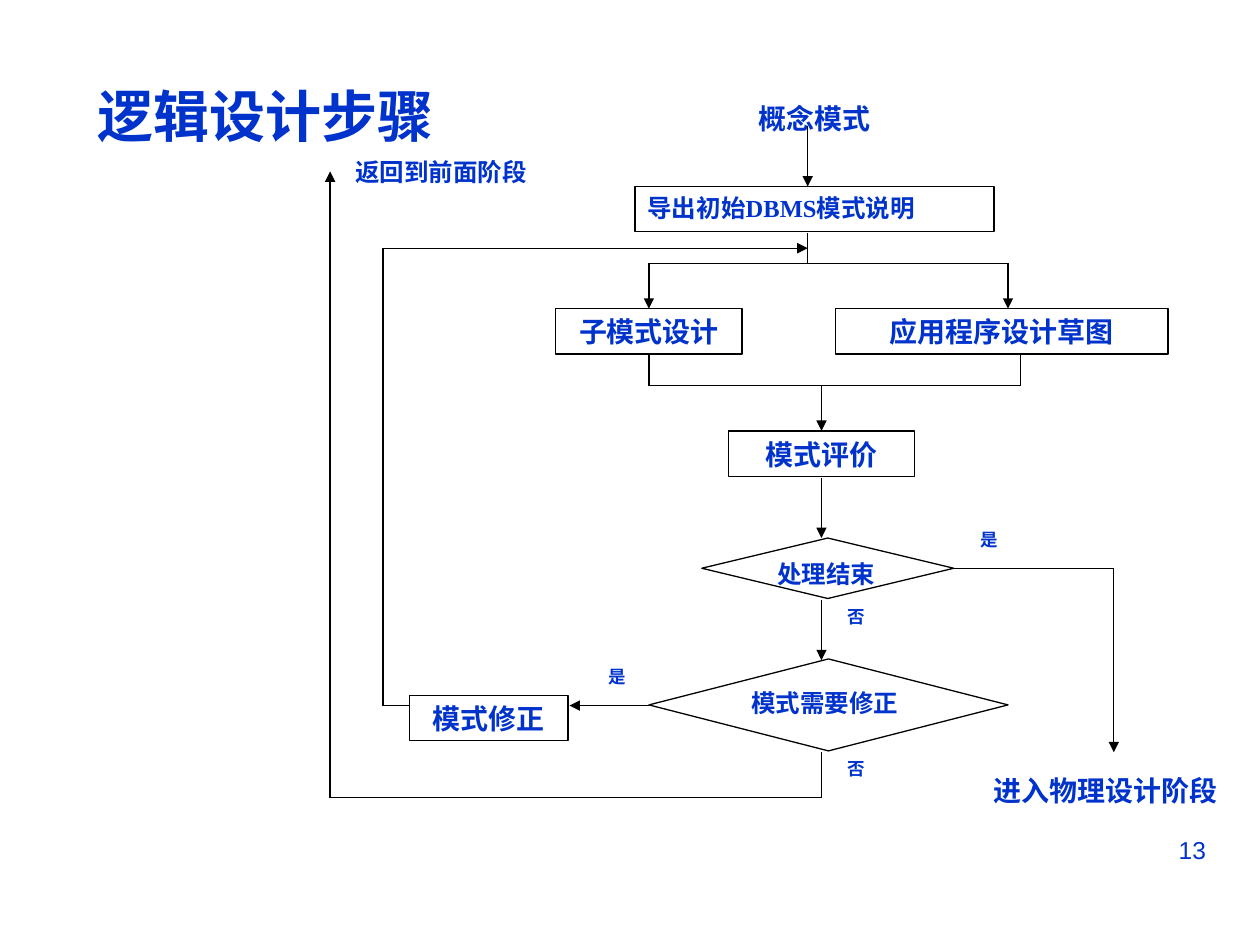
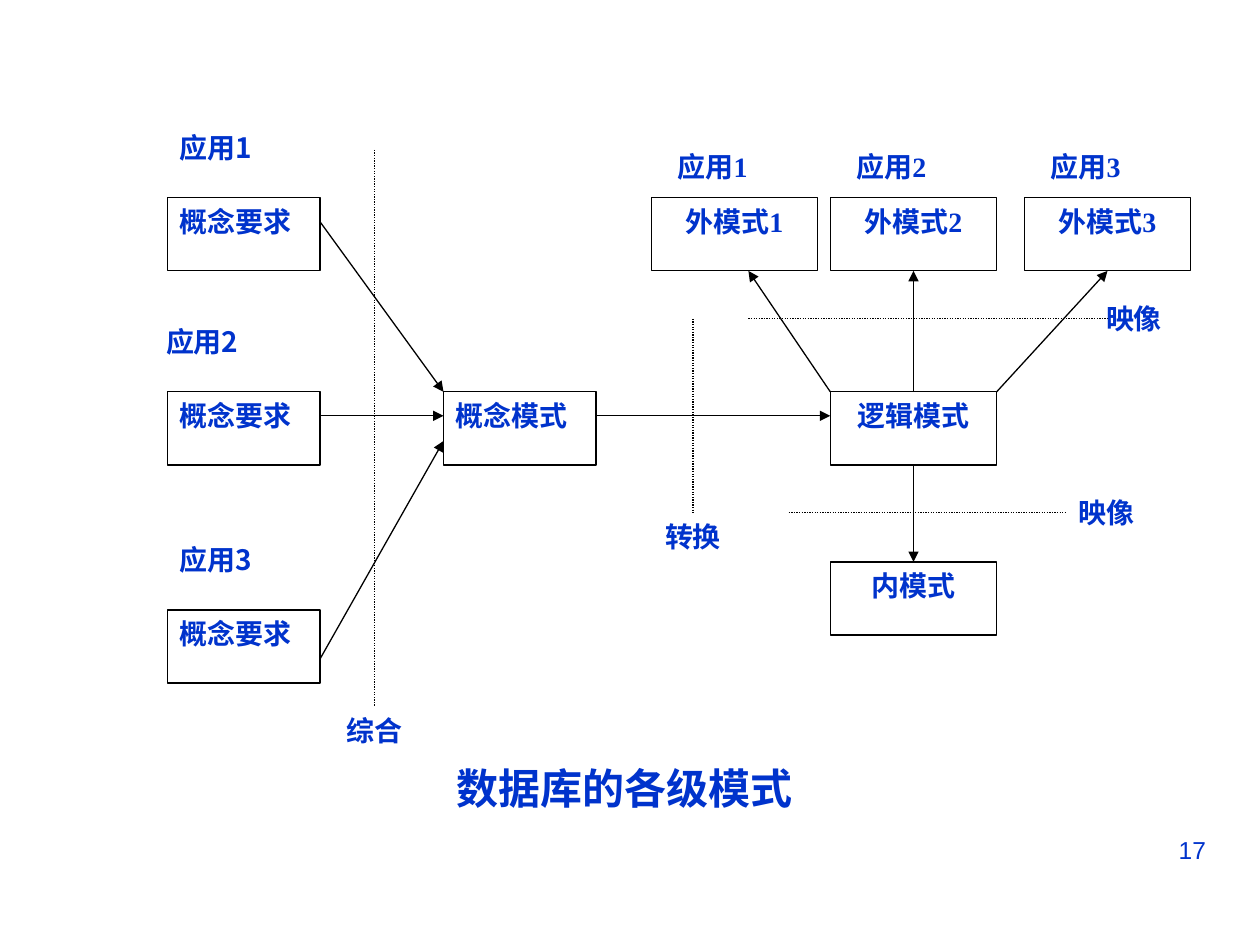
from lxml.etree import SubElement as Sub
from pptx import Presentation
from pptx.dml.color import RGBColor as Rgb
from pptx.enum.dml import MSO_LINE as Dash
from pptx.enum.shapes import MSO_CONNECTOR as Link, MSO_SHAPE as Kind
from pptx.enum.text import MSO_ANCHOR as Anchor, MSO_AUTO_SIZE as Fit, PP_ALIGN as Align
from pptx.oxml.ns import qn
from pptx.util import Inches, Pt

HUES = {"text": "0033CC", "line": "000000", "fill": "FFFFFF"}
SANS, CJK, SERIF = "Arial", "Noto Sans CJK SC", "Times New Roman"
MID, JUST, RIGHT = Align.CENTER, Align.JUSTIFY, Align.RIGHT
RECT, ROMB = Kind.RECTANGLE, Kind.FLOWCHART_DECISION

BOX_H = 0.36
STEPS = [
    ("导出初始DBMS模式说明", RECT, (5.04, 1.48, 2.85, BOX_H), 14, JUST),
    ("子模式设计", RECT, (4.41, 2.45, 1.48, BOX_H), 16, MID),
    ("应用程序设计草图", RECT, (6.63, 2.45, 2.64, BOX_H), 16, MID),
    ("模式评价", RECT, (5.78, 3.42, 1.48, BOX_H), 16, MID),
    ("处理结束", ROMB, (5.57, 4.27, 2, 0.48), 14, JUST),
    ("模式需要修正", ROMB, (5.15, 5.23, 2.85, 0.73), 14, JUST),
    ("模式修正", RECT, (3.25, 5.52, 1.26, BOX_H), 16, MID),
]
NOTES = [
    ("概念模式", (5.78, 0.76, 1.37), 16, MID),
    ("进入物理设计阶段", (7.79, 6.09, 2.21), 16, JUST),
    ("返回到前面阶段", (2.72, 1.2, 1.9), 14, JUST),
    ("是", (7.68, 4.15, 0.53), 10, JUST),
    ("是", (4.73, 5.24, 0.53), 10, JUST),
    ("否", (6.63, 4.76, 0.63), 10, JUST),
    ("否", (6.63, 5.97, 0.63), 10, JUST),
]
TOP_X, MID_X, SUB_X = 6.41, 6.52, 5.15
FLOWS = [
    [(TOP_X, 1), (TOP_X, 1.48)],
    [(TOP_X, 2.09), (SUB_X, 2.09), (SUB_X, 2.45)],
    [(TOP_X, 2.09), (8, 2.09), (8, 2.45)],
    [(MID_X, 3.06), (MID_X, 3.42)],
    [(MID_X, 3.79), (MID_X, 4.27)],
    [(MID_X, 4.76), (MID_X, 5.24)],
    [(7.57, 4.51), (8.84, 4.51), (8.84, 5.97)],
    [(SUB_X, 5.6), (4.52, 5.6)],
    [(3.25, 5.6), (3.04, 5.6), (3.04, 1.97), (TOP_X, 1.97)],
    [(MID_X, 5.97), (MID_X, 6.33), (2.62, 6.33), (2.62, 1.36)],
]
JOINS = [
    [(TOP_X, 1.85), (TOP_X, 2.09)],
    [(SUB_X, 2.82), (SUB_X, 3.06), (8.1, 3.06), (8.1, 2.82)],
]

CELL_H = 0.58
NEED_X, NEED_W, CORE_X, CORE_Y = 1.33, 1.21, 3.52, 3.11
NEEDS = [("应用1", 1.33, 1.57), ("应用2", 1.22, CORE_Y), ("应用3", 1.33, 4.84)]
VIEW_W, VIEW_Y, LOGIC_X, INNER_Y = 1.32, 1.57, 6.59, 4.46
VIEWS = [
    ("应用1", "外模式1", 5.17, 5.28),
    ("应用2", "外模式2", LOGIC_X, 6.7),
    ("应用3", "外模式3", 8.13, 8.24),
]
MARKS = [
    ("综合", 2.65, 5.61, JUST),
    ("转换", 5.06, 4.07, MID),
    ("映像", 8.68, 2.34, JUST),
    ("映像", 8.46, 3.88, JUST),
]
CUTS = [
    [(2.97, 1.19), (2.97, 5.61)],
    [(5.5, 2.53), (5.5, 4.07)],
    [(5.94, 2.53), (8.79, 2.53)],
    [(6.26, 4.07), (8.46, 4.07)],
]


def write(shape, text, size, align, font=SERIF, bold=True, pad=0.05):
    frame = shape.text_frame
    frame.word_wrap = True
    frame.auto_size = Fit.NONE
    frame.vertical_anchor = Anchor.TOP
    frame.margin_left = frame.margin_right = Inches(0.1)
    frame.margin_top = frame.margin_bottom = Inches(pad)
    para = frame.paragraphs[0]
    para.alignment = align
    run = para.add_run()
    run.text = text
    run.font.size = Pt(size)
    run.font.bold = bold
    run.font.name = font
    run.font.color.rgb = Rgb.from_string(HUES["text"])
    Sub(run.font._element, qn("a:ea"), typeface=CJK)


def place(shape, spot):
    shape.left, shape.top, shape.width, shape.height = map(Inches, spot)


def label(slide, text, spot, size, align, **style):
    write(slide.shapes.add_textbox(*map(Inches, spot)), text, size, align, **style)


def box(slide, text, kind, spot, size, align):
    shape = slide.shapes.add_shape(kind, *map(Inches, spot))
    shape.shadow.inherit = False
    shape.fill.solid()
    shape.fill.fore_color.rgb = Rgb.from_string(HUES["fill"])
    shape.line.color.rgb = Rgb.from_string(HUES["line"])
    shape.line.width = Pt(0.75)
    write(shape, text, size, align)


def route(slide, points, arrow=True, dash=None):
    for start, end in zip(points, points[1:]):
        line = slide.shapes.add_connector(Link.STRAIGHT, *map(Inches, start + end))
        line.line.color.rgb = Rgb.from_string(HUES["line"])
        line.line.width = Pt(0.75)
        if dash:
            line.line.dash_style = dash
        props = line._element.spPr
        Sub(props, qn("a:effectLst"))
        if arrow and end == points[-1]:
            Sub(props.find(qn("a:ln")), qn("a:tailEnd"), type="triangle")


def start(deck, title, spot, size, align, font, number):
    slide = deck.slides.add_slide(deck.slide_layouts[5])
    place(slide.shapes.title, spot)
    write(slide.shapes.title, title, size, align, font)
    label(slide, number, (7.17, 6.58, 2.5, 0.52), 14, RIGHT, font=SANS, bold=False)
    return slide


def draw_steps(deck):
    slide = start(deck, "逻辑设计步骤", (0.67, 0.6, 3, 1), 32, Align.LEFT, SANS, "13")
    for step in STEPS:
        box(slide, *step)
    for text, spot, size, align in NOTES:
        label(slide, text, spot + (BOX_H,), size, align)
    for flow in FLOWS:
        route(slide, flow)
    for join in JOINS:
        route(slide, join, arrow=False)


def draw_levels(deck):
    slide = start(deck, "数据库的各级模式", (3.52, 6, 3.07, 0.58), 24, JUST, CJK, "17")
    for name, left, top in NEEDS:
        label(slide, name, (left, top - CELL_H, 1.1, CELL_H), 16, JUST, font=CJK)
        box(slide, "概念要求", RECT, (NEED_X, top, NEED_W, CELL_H), 16, JUST)
    for name, view, left, tag in VIEWS:
        label(slide, name, (tag, 1.19, 0.88, 0.39), 16, JUST, pad=0)
        box(slide, view, RECT, (left, VIEW_Y, VIEW_W, CELL_H), 16, MID)
    box(slide, "概念模式", RECT, (CORE_X, CORE_Y, NEED_W, CELL_H), 16, JUST)
    for text, top in (("逻辑模式", CORE_Y), ("内模式", INNER_Y)):
        box(slide, text, RECT, (LOGIC_X, top, VIEW_W, CELL_H), 16, MID)

    side, axis = NEED_X + NEED_W, LOGIC_X + VIEW_W / 2
    roof, base = VIEW_Y + CELL_H, CORE_Y + CELL_H
    for begin, end in (
        ((side, 1.76), (CORE_X, CORE_Y)),
        ((side, 3.3), (CORE_X, 3.3)),
        ((side, 5.23), (CORE_X, 3.5)),
        ((CORE_X + NEED_W, 3.3), (LOGIC_X, 3.3)),
        ((LOGIC_X, CORE_Y), (5.94, roof)),
        ((axis, CORE_Y), (axis, roof)),
        ((LOGIC_X + VIEW_W, CORE_Y), (8.79, roof)),
        ((axis, base), (axis, INNER_Y)),
    ):
        route(slide, [begin, end])
    for cut in CUTS:
        route(slide, cut, arrow=False, dash=Dash.ROUND_DOT)
    for text, left, top, align in MARKS:
        label(slide, text, (left, top, 0.88, CELL_H), 16, align)


def main():
    deck = Presentation()
    deck.slide_width, deck.slide_height = Inches(10), Inches(7.5)
    draw_steps(deck)
    draw_levels(deck)
    deck.save("out.pptx")


if __name__ == "__main__":
    main()
